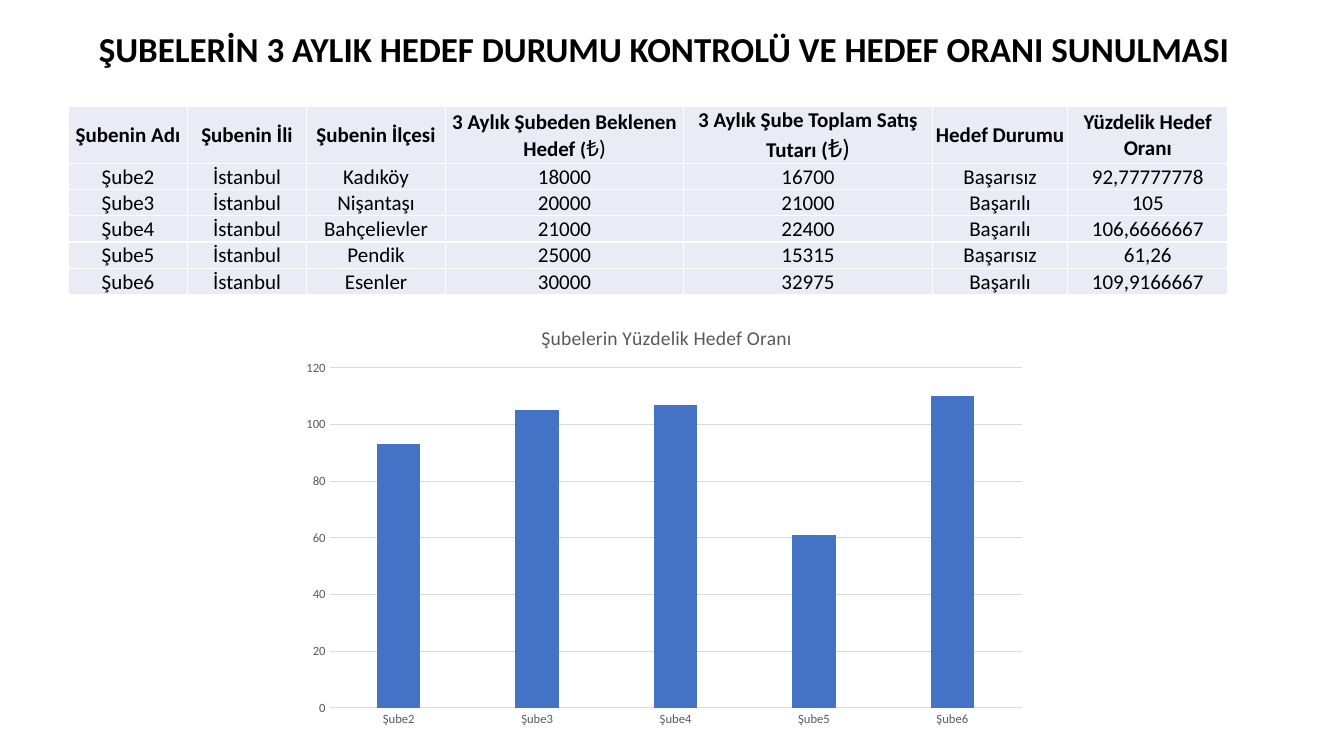
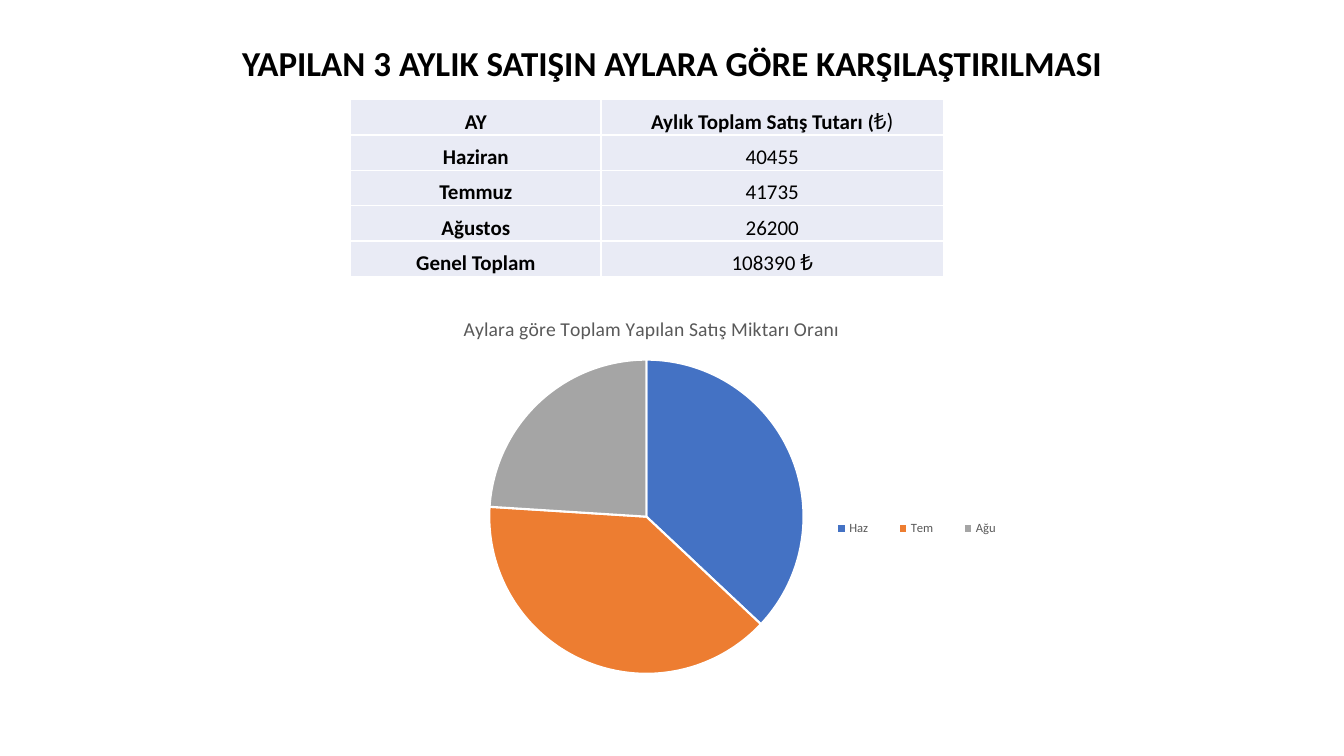
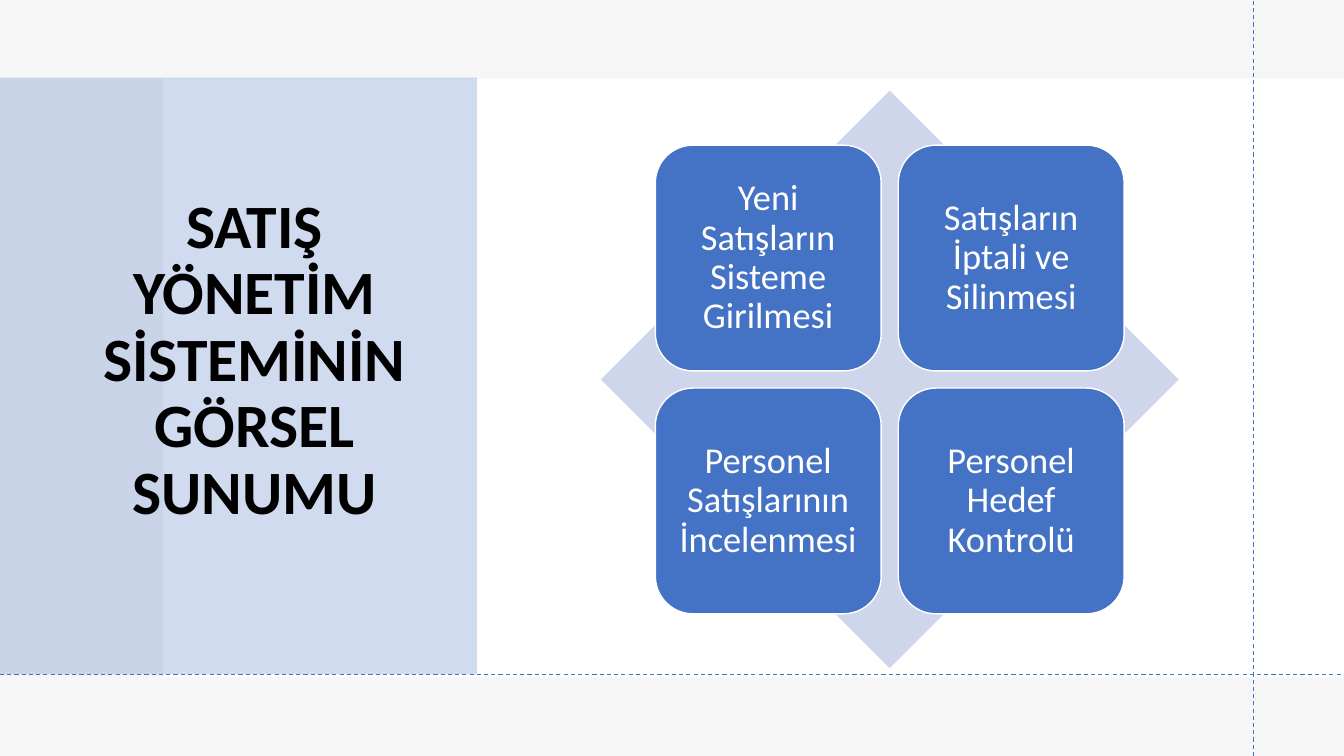
from lxml import etree
from pptx import Presentation
from pptx import util as u
from pptx.chart.data import CategoryChartData
from pptx.dml.color import RGBColor
from pptx.enum import chart as ch, dml, shapes, text
from pptx.oxml import parse_xml
from pptx.oxml.ns import nsdecls, qn

COLORS = {
    "black": "000000", "white": "FFFFFF", "gray": "E7E6E6", "cell": "E9EBF5",
    "blue": "4472C4", "orange": "ED7D31", "silver": "A5A5A5",
    "diamond": "CFD5EA", "label": "595959", "grid": "D9D9D9",
}
FONT = "Calibri"
WIDTH, HEIGHT = 13.33, 7.5


def rgb(name):
    return RGBColor.from_string(COLORS[name])


def box(*lengths):
    return [u.Inches(n) for n in lengths]


def style_font(font, size, color="black", bold=False):
    font.name = FONT
    font.size = u.Pt(size)
    font.bold = bold
    font.color.rgb = rgb(color)


def write(tf, content, size=15, color="black", bold=False, spacing=None):
    runs = [(content, {})] if isinstance(content, str) else content
    p = tf.paragraphs[0]
    p.alignment = text.PP_ALIGN.CENTER
    if spacing:
        p.line_spacing = spacing
    for words, changes in runs:
        r = p.add_run()
        r.text = words
        style_font(r.font, **{"size": size, "color": color, "bold": bold, **changes})


def place(chart, tag, **fractions):
    parent = chart.element.xpath(f".//c:{tag}")[0]
    for old in parent.findall(qn("c:layout")):
        parent.remove(old)
    modes = '<c:xMode val="edge"/><c:yMode val="edge"/>'
    if tag == "plotArea":
        modes = '<c:layoutTarget val="inner"/>' + modes
    sizes = "".join(f'<c:{k} val="{v}"/>' for k, v in fractions.items())
    layout = parse_xml(f'<c:layout {nsdecls("c")}><c:manualLayout>{modes}{sizes}'
                       '</c:manualLayout></c:layout>')
    parent.insert(0 if tag == "plotArea" else 1, layout)


class Deck:
    def __init__(self):
        self.prs = Presentation()
        self.prs.slide_width, self.prs.slide_height = box(WIDTH, HEIGHT)
        self.s = None

    def new_slide(self):
        self.s = self.prs.slides.add_slide(self.prs.slide_layouts[6])

    def textbox(self, content, at, anchor=text.MSO_ANCHOR.TOP, grow=False, **fmt):
        tf = self.s.shapes.add_textbox(*box(*at)).text_frame
        tf.word_wrap = True
        tf.vertical_anchor = anchor
        if grow:
            tf.auto_size = text.MSO_AUTO_SIZE.SHAPE_TO_FIT_TEXT
        write(tf, content, **fmt)

    def title(self, content, left, top):
        self.textbox(content, (left, top, 12.25, 0.52), grow=True, size=25, bold=True)

    def shape(self, kind, at, fill, alpha=None, line=None):
        sp = self.s.shapes.add_shape(kind, *box(*at))
        sp.shadow.inherit = False
        sp.fill.solid()
        sp.fill.fore_color.rgb = rgb(fill)
        if alpha:
            clr = sp.fill._xPr.find(qn("a:solidFill"))[0]
            etree.SubElement(clr, qn("a:alpha")).set("val", str(alpha * 1000))
        if line:
            sp.line.color.rgb = rgb(line)
            sp.line.width = u.Pt(1)
        else:
            sp.line.fill.background()
        return sp

    def rect(self, *at, **fmt):
        return self.shape(shapes.MSO_SHAPE.RECTANGLE, at, **fmt)

    def tile(self, content, left, top, side):
        sp = self.shape(shapes.MSO_SHAPE.ROUNDED_RECTANGLE, (left, top, side, side),
                        "blue", line="white")
        tf = sp.text_frame
        tf.word_wrap = True
        tf.vertical_anchor = text.MSO_ANCHOR.MIDDLE
        tf.margin_left = tf.margin_right = tf.margin_top = tf.margin_bottom = u.Inches(0.11)
        write(tf, content, size=26, color="white", spacing=0.9)

    def dashed_line(self, *ends):
        cx = self.s.shapes.add_connector(shapes.MSO_CONNECTOR.STRAIGHT, *box(*ends))
        cx.line.color.rgb = rgb("blue")
        cx.line.width = u.Pt(0.75)
        cx.line.dash_style = dml.MSO_LINE.DASH
        etree.SubElement(cx._element.spPr, qn("a:effectLst"))

    def table(self, rows, left, top, widths, heights, anchor, bold_column=False):
        frame = self.s.shapes.add_table(len(rows), len(widths),
                                        *box(left, top, sum(widths), sum(heights)))
        tbl = frame.table
        tbl.first_row = tbl.horz_banding = False
        for col, width in zip(tbl.columns, widths):
            col.width = u.Inches(width)
        for row, height in zip(tbl.rows, heights):
            row.height = u.Inches(height)
        for i, row in enumerate(rows):
            for j, content in enumerate(row):
                self.cell(tbl.cell(i, j), content, anchor, i == 0 or (bold_column and j == 0))

    def cell(self, cell, content, anchor, bold):
        cell.vertical_anchor = anchor
        cell.margin_left = cell.margin_right = cell.margin_top = u.Inches(0.01)
        cell.margin_bottom = 0
        for side in "LRTB":
            cell._tc.get_or_add_tcPr().append(parse_xml(
                f'<a:ln{side} {nsdecls("a")} w="12700"><a:solidFill>'
                f'<a:srgbClr val="{COLORS["white"]}"/></a:solidFill></a:ln{side}>'))
        cell.fill.solid()
        cell.fill.fore_color.rgb = rgb("cell")
        write(cell.text_frame, content, bold=bold)

    def chart(self, kind, at, title, title_at, plot_at, cats, vals):
        data = CategoryChartData()
        data.categories = cats
        data.add_series("Series 1", vals)
        chart = self.s.shapes.add_chart(kind, *box(*at), data).chart
        style_font(chart.font, 10)
        chart.has_legend = False
        chart.has_title = True
        write(chart.chart_title.text_frame, title, size=14, color="label")
        place(chart, "title", **title_at)
        place(chart, "plotArea", **plot_at)
        return chart

    def column_chart(self, *args):
        chart = self.chart(ch.XL_CHART_TYPE.COLUMN_CLUSTERED, *args)
        plot = chart.plots[0]
        plot.vary_by_categories = False
        plot.gap_width, plot.overlap = 219, -27
        fill = plot.series[0].format.fill
        fill.solid()
        fill.fore_color.rgb = rgb("blue")
        cat, val = chart.category_axis, chart.value_axis
        for axis in (cat, val):
            axis.major_tick_mark = axis.minor_tick_mark = ch.XL_TICK_MARK.NONE
            style_font(axis.tick_labels.font, 9, "label")
        val.minimum_scale, val.maximum_scale, val.major_unit = 0, 120, 20
        val.format.line.fill.background()
        for line in (cat.format.line, val.major_gridlines.format.line):
            line.color.rgb = rgb("grid")
            line.width = u.Pt(0.75)

    def pie_chart(self, *args, slices, legend_at):
        chart = self.chart(ch.XL_CHART_TYPE.PIE, *args)
        chart.plots[0].vary_by_categories = True
        for i, color in enumerate(slices):
            fmt = chart.plots[0].series[0].points[i].format
            fmt.fill.solid()
            fmt.fill.fore_color.rgb = rgb(color)
            fmt.line.color.rgb = rgb("white")
            fmt.line.width = u.Pt(1.5)
        chart.has_legend = True
        chart.legend.position = ch.XL_LEGEND_POSITION.RIGHT
        chart.legend.include_in_layout = False
        style_font(chart.legend.font, 9, "label")
        place(chart, "legend", **legend_at)


def targets_slide(deck):
    deck.new_slide()
    deck.title("ŞUBELERİN 3 AYLIK HEDEF DURUMU KONTROLÜ VE HEDEF ORANI SUNULMASI", 0.46, 0.22)
    header = [
        "Şubenin Adı", "Şubenin İli", "Şubenin İlçesi",
        [("3 Aylık Şubeden Beklenen Hedef ", {}), ("(", {"size": 14}),
         ("₺)", {"size": 16, "bold": False})],
        [("3 Aylık Şube Toplam Satış Tutarı (", {}), ("₺)", {"size": 18, "bold": False})],
        "Hedef Durumu", "Yüzdelik Hedef Oranı",
    ]
    branches = [
        ("Şube2", "İstanbul", "Kadıköy", "18000", "16700", "Başarısız", "92,77777778"),
        ("Şube3", "İstanbul", "Nişantaşı", "20000", "21000", "Başarılı", "105"),
        ("Şube4", "İstanbul", "Bahçelievler", "21000", "22400", "Başarılı", "106,6666667"),
        ("Şube5", "İstanbul", "Pendik", "25000", "15315", "Başarısız", "61,26"),
        ("Şube6", "İstanbul", "Esenler", "30000", "32975", "Başarılı", "109,9166667"),
    ]
    deck.table([header, *branches], 0.68, 1.06, [1.18, 1.18, 1.38, 2.36, 2.47, 1.34, 1.59],
               [0.55] + [0.25] * len(branches), text.MSO_ANCHOR.MIDDLE)
    deck.column_chart((2.9, 3.01, 7.38, 4.27), "Şubelerin Yüzdelik Hedef Oranı",
                      {"x": 0.33, "y": 0.04}, {"x": 0.05, "y": 0.15, "w": 0.93, "h": 0.79},
                      [branch[0] for branch in branches], (93, 105, 107, 61, 110))


def months_slide(deck):
    deck.new_slide()
    deck.title("YAPILAN 3 AYLIK SATIŞIN AYLARA GÖRE KARŞILAŞTIRILMASI", 0.54, 0.36)
    deck.pie_chart((3.04, 2.94, 7.25, 3.87), "Aylara göre Toplam Yapılan Satış Miktarı Oranı",
                   {"x": 0.21, "y": 0.04}, {"x": 0.25, "y": 0.16, "w": 0.43, "h": 0.81},
                   ("Haz", "Tem", "Ağu"), (37, 39, 24),
                   slices=("blue", "orange", "silver"),
                   legend_at={"x": 0.69, "y": 0.56, "w": 0.29, "h": 0.07})
    rows = [
        ("AY", [("Aylık Toplam Satış Tutarı ", {}), ("(", {"size": 14}),
                ("₺)", {"size": 16, "bold": False})]),
        ("Haziran", "40455"),
        ("Temmuz", "41735"),
        ("Ağustos", "26200"),
        ("Genel Toplam", [("108390 ", {}), ("₺", {"size": 16})]),
    ]
    deck.table(rows, 3.48, 0.99, [2.48, 3.4], [0.35] * len(rows),
               text.MSO_ANCHOR.BOTTOM, bold_column=True)


def system_slide(deck):
    deck.new_slide()
    deck.rect(0, 0, WIDTH, HEIGHT, fill="gray", alpha=35)
    deck.rect(1.62, 0.78, WIDTH - 1.62, 5.94, fill="white")
    deck.rect(0, 0.77, 4.73, 5.92, fill="blue", alpha=25)
    deck.textbox("SATIŞ YÖNETİM SİSTEMİNİN GÖRSEL SUNUMU", (0.55, 0.74, 3.95, 5.69),
                 anchor=text.MSO_ANCHOR.MIDDLE, size=44, bold=True, spacing=0.9)
    deck.dashed_line(12.43, HEIGHT, 12.43, 0)
    deck.dashed_line(0, 6.69, WIDTH, 6.69)
    deck.shape(shapes.MSO_SHAPE.DIAMOND, (5.96, 0.9, 5.73, 5.73), "diamond")
    tiles = ("Yeni Satışların Sisteme Girilmesi", "Satışların İptali ve Silinmesi",
             "Personel Satışlarının İncelenmesi", "Personel Hedef Kontrolü")
    side, pitch = 2.24, 2.41
    for i, content in enumerate(tiles):
        row, col = divmod(i, 2)
        deck.tile(content, 6.5 + col * pitch, 1.44 + row * pitch, side)


def main():
    deck = Deck()
    targets_slide(deck)
    months_slide(deck)
    system_slide(deck)
    deck.prs.save("out.pptx")


if __name__ == "__main__":
    main()
